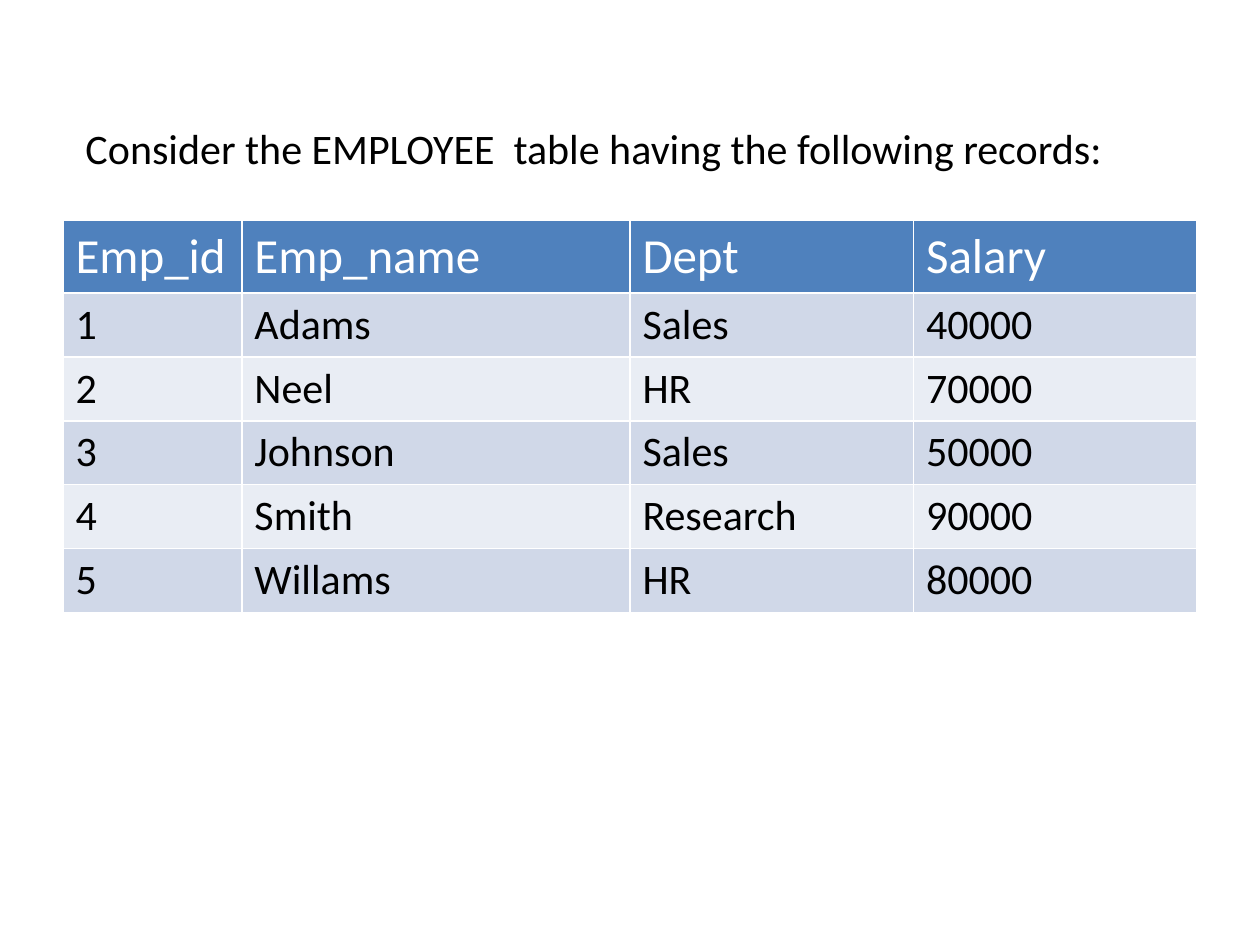
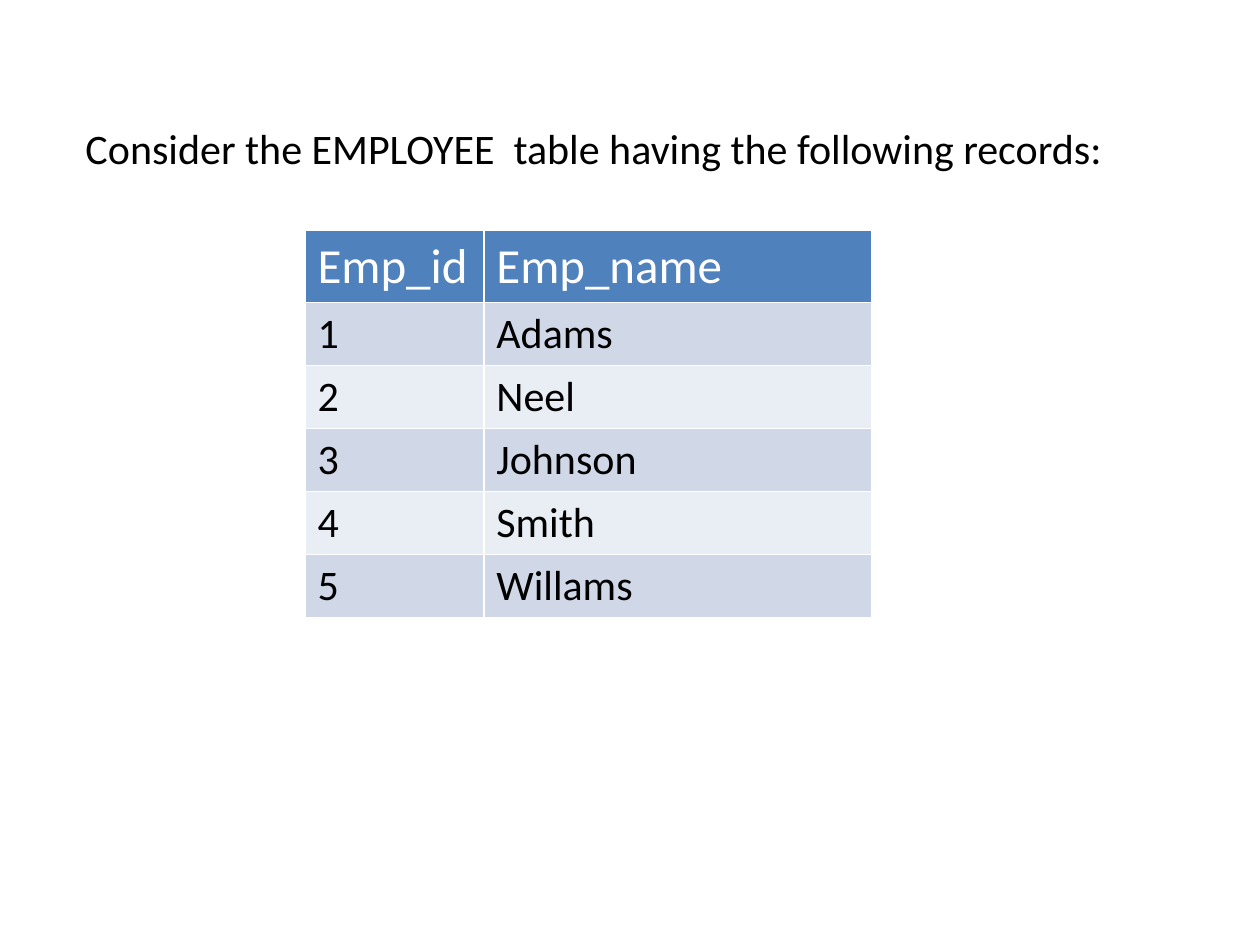
import pptx
import pptx.dml.color
import pptx.enum.text
import pptx.oxml.ns
import pptx.util
from lxml import etree
from pptx.util import Inches

RGB = pptx.dml.color.RGBColor
BLACK = RGB(0x00, 0x00, 0x00)
WHITE = RGB(0xFF, 0xFF, 0xFF)
BLUE = RGB(0x4F, 0x81, 0xBD)
BANDS = (RGB(0xD0, 0xD8, 0xE8), RGB(0xE9, 0xED, 0xF4))

FACE = "Calibri"
INTRO = "Consider the EMPLOYEE  table having the following records:"
STAFF = (
    ("Emp_id", "Emp_name", "Dept", "Salary"),
    ("1", "Adams", "Sales", "40000"),
    ("2", "Neel", "HR", "70000"),
    ("3", "Johnson", "Sales", "50000"),
    ("4", "Smith", "Research", "90000"),
    ("5", "Willams", "HR", "80000"),
)
WIDTHS = (1.42, 3.08, 2.25, 2.25)
HEAD_H, ROW_H = 0.57, 0.5


def set_font(para, size, color):
    para.font.name = FACE
    para.font.size = pptx.util.Pt(size)
    para.font.color.rgb = color


def add_intro(slide):
    box = slide.shapes.add_textbox(
        Inches(0.58), Inches(0.92), Inches(8.92), Inches(0.5))
    frame = box.text_frame
    frame.word_wrap = True
    frame.auto_size = pptx.enum.text.MSO_AUTO_SIZE.SHAPE_TO_FIT_TEXT
    frame.text = INTRO
    set_font(frame.paragraphs[0], 24, BLACK)


def add_border(cell, color, width=1):
    """Line all four sides; call before filling the cell."""
    qn = pptx.oxml.ns.qn
    props = cell._tc.get_or_add_tcPr()
    for side in ("lnL", "lnR", "lnT", "lnB"):
        line = etree.SubElement(
            props, qn(f"a:{side}"), w=str(pptx.util.Pt(width)))
        fill = etree.SubElement(line, qn("a:solidFill"))
        etree.SubElement(fill, qn("a:srgbClr"), val=str(color))


def fill_cell(cell, text, size, color, back):
    add_border(cell, WHITE)
    cell.fill.solid()
    cell.fill.fore_color.rgb = back
    cell.text = text
    set_font(cell.text_frame.paragraphs[0], size, color)


def add_staff(slide, left, top, count):
    """Show the first count columns of the staff records."""
    widths = WIDTHS[:count]
    height = HEAD_H + ROW_H * (len(STAFF) - 1)
    table = slide.shapes.add_table(
        len(STAFF), count, Inches(left), Inches(top),
        Inches(sum(widths)), Inches(height)).table
    for col, width in zip(table.columns, widths):
        col.width = Inches(width)
    for r, record in enumerate(STAFF):
        head = r == 0
        table.rows[r].height = Inches(HEAD_H if head else ROW_H)
        style = (28, WHITE, BLUE) if head else (24, BLACK, BANDS[(r - 1) % 2])
        for c, text in enumerate(record[:count]):
            fill_cell(table.cell(r, c), text, *style)


def main():
    deck = pptx.Presentation()
    deck.slide_width, deck.slide_height = Inches(10), Inches(7.5)
    for left, top, count in ((0.5, 1.75, 4), (2.42, 1.83, 2)):
        slide = deck.slides.add_slide(deck.slide_layouts[6])
        add_staff(slide, left, top, count)
        add_intro(slide)
    deck.save("out.pptx")


if __name__ == "__main__":
    main()
